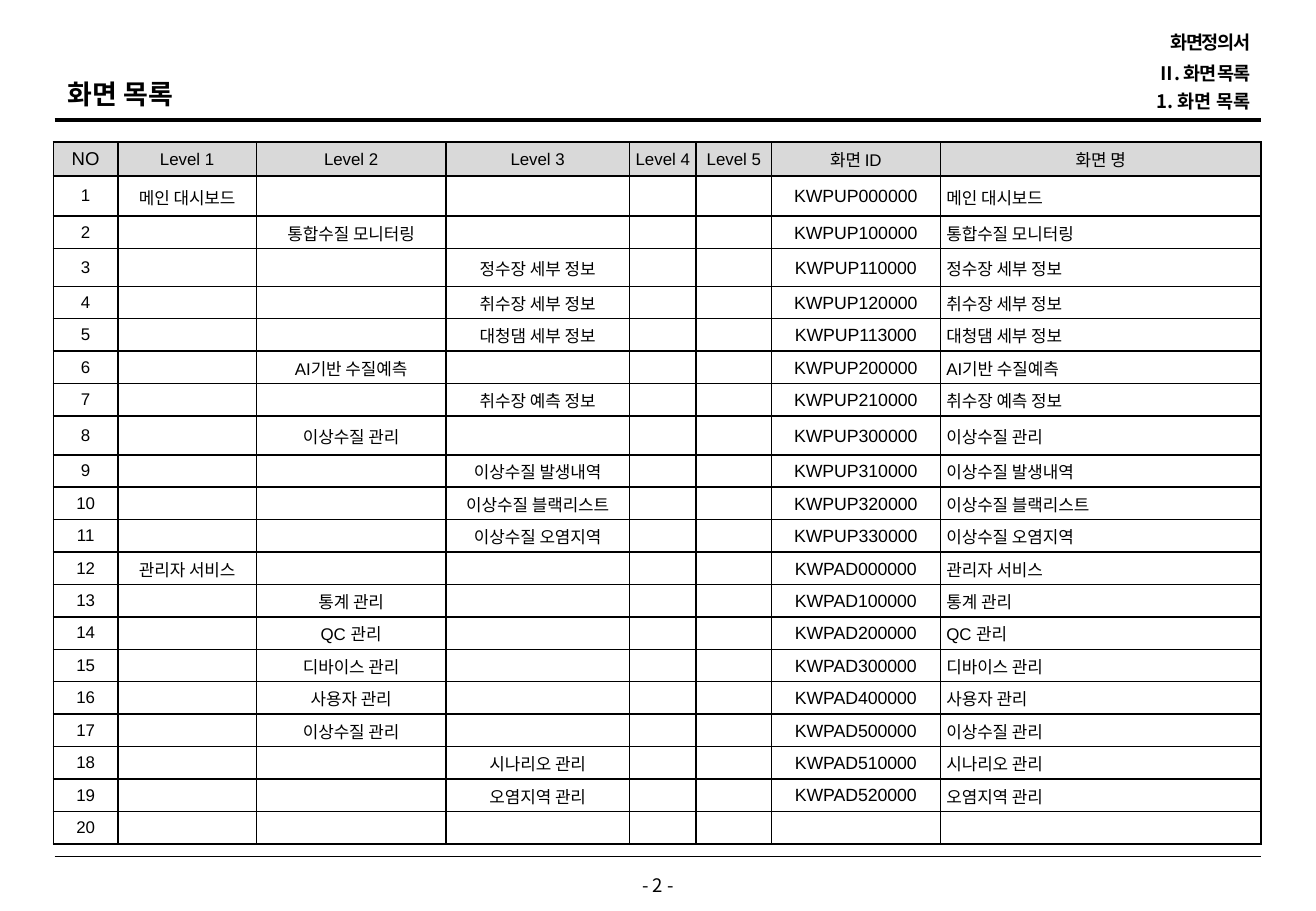
"""Builds the screen list slide: headings, rules, the table of screens and the page number."""
from typing import NamedTuple

from lxml.etree import SubElement
from pptx import Presentation
from pptx.dml.color import RGBColor
from pptx.enum.shapes import MSO_CONNECTOR as Connector
from pptx.enum.text import MSO_ANCHOR as Anchor, PP_ALIGN as Align
from pptx.oxml.ns import qn
from pptx.util import Inches, Pt

SLIDE_WIDTH, SLIDE_HEIGHT = Inches(10.83), Inches(7.5)
BLACK = RGBColor(0x00, 0x00, 0x00)
HEADER_GREY = RGBColor(0xD9, 0xD9, 0xD9)
KOREAN_FONT, LATIN_FONT = "Noto Sans CJK KR", "Arial"


class Label(NamedTuple):
    """A text box placed in percent of the slide."""
    text: str
    left: float
    top: float
    width: float
    height: float
    size: float = 11
    align: Align = Align.RIGHT
    anchor: Anchor = Anchor.MIDDLE
    bold: bool = True
    tracking: float = 0
    spacing: float | Pt = 0.9
    inset: bool = True


class Rule(NamedTuple):
    """A horizontal line at a percent of the slide height."""
    top: float
    weight: float


class Screen(NamedTuple):
    """A table row: menu level, screen name and screen code."""
    level: int
    name: str
    code: str


HEAD = dict(left=67.59, width=28.35, height=2.67)
LABELS = [
    Label("화면정의서", top=3.47, tracking=-0.8, **HEAD),
    Label("Ⅱ. 화면 목록", top=6.8, tracking=-0.8, **HEAD),
    Label("1. 화면 목록", top=9.87, **HEAD),
    Label("화면 목록", 4.25, 8.27, 62.51, 4.27, size=16, align=Align.LEFT, anchor=Anchor.TOP),
    Label("- 2 -", 37.86, 95.87, 24.28, 2.8, align=Align.CENTER, bold=False,
          spacing=Pt(12), inset=False),
]
RULE_LEFT, RULE_RIGHT = 4.16, 95.84
RULES = [Rule(13.2, 2.25), Rule(94, 0.5)]

TABLE_LEFT, TABLE_TOP, TABLE_WIDTH, TABLE_HEIGHT = 4.06, 15.6, 91.78, 77.07
HEADERS = ["NO", "Level 1", "Level 2", "Level 3", "Level 4", "Level 5", "화면 ID", "화면 명"]
COLUMN_WEIGHTS = [53, 114, 156, 151, 55, 62, 139, 264]
ROW_WEIGHT, TALL_ROWS = 26.7, {0: 28, 1: 33, 3: 31, 8: 32}
ROW_COUNT = 20
CODE_COLUMN, NAME_COLUMN = 6, 7
SCREENS = [
    Screen(1, "메인 대시보드", "KWPUP000000"),
    Screen(2, "통합수질 모니터링", "KWPUP100000"),
    Screen(3, "정수장 세부 정보", "KWPUP110000"),
    Screen(3, "취수장 세부 정보", "KWPUP120000"),
    Screen(3, "대청댐 세부 정보", "KWPUP113000"),
    Screen(2, "AI기반 수질예측", "KWPUP200000"),
    Screen(3, "취수장 예측 정보", "KWPUP210000"),
    Screen(2, "이상수질 관리", "KWPUP300000"),
    Screen(3, "이상수질 발생내역", "KWPUP310000"),
    Screen(3, "이상수질 블랙리스트", "KWPUP320000"),
    Screen(3, "이상수질 오염지역", "KWPUP330000"),
    Screen(1, "관리자 서비스", "KWPAD000000"),
    Screen(2, "통계 관리", "KWPAD100000"),
    Screen(2, "QC 관리", "KWPAD200000"),
    Screen(2, "디바이스 관리", "KWPAD300000"),
    Screen(2, "사용자 관리", "KWPAD400000"),
    Screen(2, "이상수질 관리", "KWPAD500000"),
    Screen(3, "시나리오 관리", "KWPAD510000"),
    Screen(3, "오염지역 관리", "KWPAD520000"),
]


def across(percent: float) -> int:
    """Turns a percent of the slide width into a length."""
    return round(SLIDE_WIDTH * percent / 100)


def down(percent: float) -> int:
    """Turns a percent of the slide height into a length."""
    return round(SLIDE_HEIGHT * percent / 100)


def write(frame, text: str, *, size: float, font: str = LATIN_FONT, align: Align = Align.CENTER,
          bold: bool = False, tracking: float = 0, spacing=None) -> None:
    """Writes one formatted paragraph into a text frame."""
    para = frame.paragraphs[0]
    para.alignment = align
    para.line_spacing = spacing
    if not text:
        SubElement(para._p, qn("a:endParaRPr"), sz=str(round(size * 100)))
        return
    span = para.add_run()
    span.text = text
    span.font.size, span.font.bold, span.font.name = Pt(size), bold, font
    span.font.color.rgb = BLACK
    properties = span._r.get_or_add_rPr()
    SubElement(properties, qn("a:ea"), typeface=KOREAN_FONT)
    if tracking:
        properties.set("spc", str(round(tracking * 100)))


def add_label(page, label: Label) -> None:
    """Draws a text box."""
    box = page.shapes.add_textbox(across(label.left), down(label.top),
                                  across(label.width), down(label.height))
    frame = box.text_frame
    frame.word_wrap = True
    frame.vertical_anchor = label.anchor
    if not label.inset:
        frame.margin_left = frame.margin_right = frame.margin_top = frame.margin_bottom = 0
    write(frame, label.text, size=label.size, font=KOREAN_FONT, align=label.align,
          bold=label.bold, tracking=label.tracking, spacing=label.spacing)


def add_rule(page, rule: Rule) -> None:
    """Draws a horizontal line between the side margins."""
    line = page.shapes.add_connector(Connector.STRAIGHT, across(RULE_LEFT), down(rule.top),
                                     across(RULE_RIGHT), down(rule.top))
    line.line.color.rgb = BLACK
    line.line.width = Pt(rule.weight)
    SubElement(line._element.spPr, qn("a:effectLst"))


def add_borders(cell) -> None:
    """Gives a cell a black border on each side."""
    properties = cell._tc.get_or_add_tcPr()
    for side in ("lnL", "lnR", "lnT", "lnB"):
        border = SubElement(properties, qn(f"a:{side}"), w=str(Pt(1)))
        fill = SubElement(border, qn("a:solidFill"))
        SubElement(fill, qn("a:srgbClr"), val=str(BLACK))


def row_texts(number: int) -> list[str]:
    """Returns the cell texts of a numbered row."""
    texts = [str(number)] + [""] * (len(HEADERS) - 1)
    if number <= len(SCREENS):
        screen = SCREENS[number - 1]
        texts[screen.level] = texts[NAME_COLUMN] = screen.name
        texts[CODE_COLUMN] = screen.code
    return texts


def fill_cell(cell, text: str, row: int, column: int) -> None:
    """Formats and fills one table cell."""
    is_header = row == 0
    is_name = column == NAME_COLUMN and not is_header
    add_borders(cell)
    if is_header:
        cell.fill.solid()
        cell.fill.fore_color.rgb = HEADER_GREY
    else:
        cell.fill.background()
    cell.vertical_anchor = Anchor.MIDDLE
    cell.margin_right = across(0.37 if is_header or column == 0 else 0.09)
    cell.margin_left = across(0.46) if is_name else cell.margin_right
    cell.margin_top, cell.margin_bottom = down(0.13 if column else 0), 0
    size = 11 if is_header and column == 0 else 10
    if column == CODE_COLUMN and not is_header:
        size = 10.5
    write(cell.text_frame, text, size=size, align=Align.LEFT if is_name else Align.CENTER)


def add_screen_table(page) -> None:
    """Draws the table of screens."""
    rows = [HEADERS] + [row_texts(number) for number in range(1, ROW_COUNT + 1)]
    table = page.shapes.add_table(len(rows), len(HEADERS), across(TABLE_LEFT), down(TABLE_TOP),
                                  across(TABLE_WIDTH), down(TABLE_HEIGHT)).table
    table.first_row = table.horz_banding = False
    for column, weight in zip(table.columns, COLUMN_WEIGHTS):
        column.width = across(TABLE_WIDTH * weight / sum(COLUMN_WEIGHTS))
    row_weights = [TALL_ROWS.get(index, ROW_WEIGHT) for index in range(len(rows))]
    for row, weight in zip(table.rows, row_weights):
        row.height = down(TABLE_HEIGHT * weight / sum(row_weights))
    for row, texts in enumerate(rows):
        for column, text in enumerate(texts):
            fill_cell(table.cell(row, column), text, row, column)


def main() -> None:
    """Builds and saves the deck."""
    deck = Presentation()
    deck.slide_width, deck.slide_height = SLIDE_WIDTH, SLIDE_HEIGHT
    page = deck.slides.add_slide(deck.slide_layouts[6])
    for rule in RULES:
        add_rule(page, rule)
    for label in LABELS:
        add_label(page, label)
    add_screen_table(page)
    deck.save("out.pptx")


if __name__ == "__main__":
    main()
